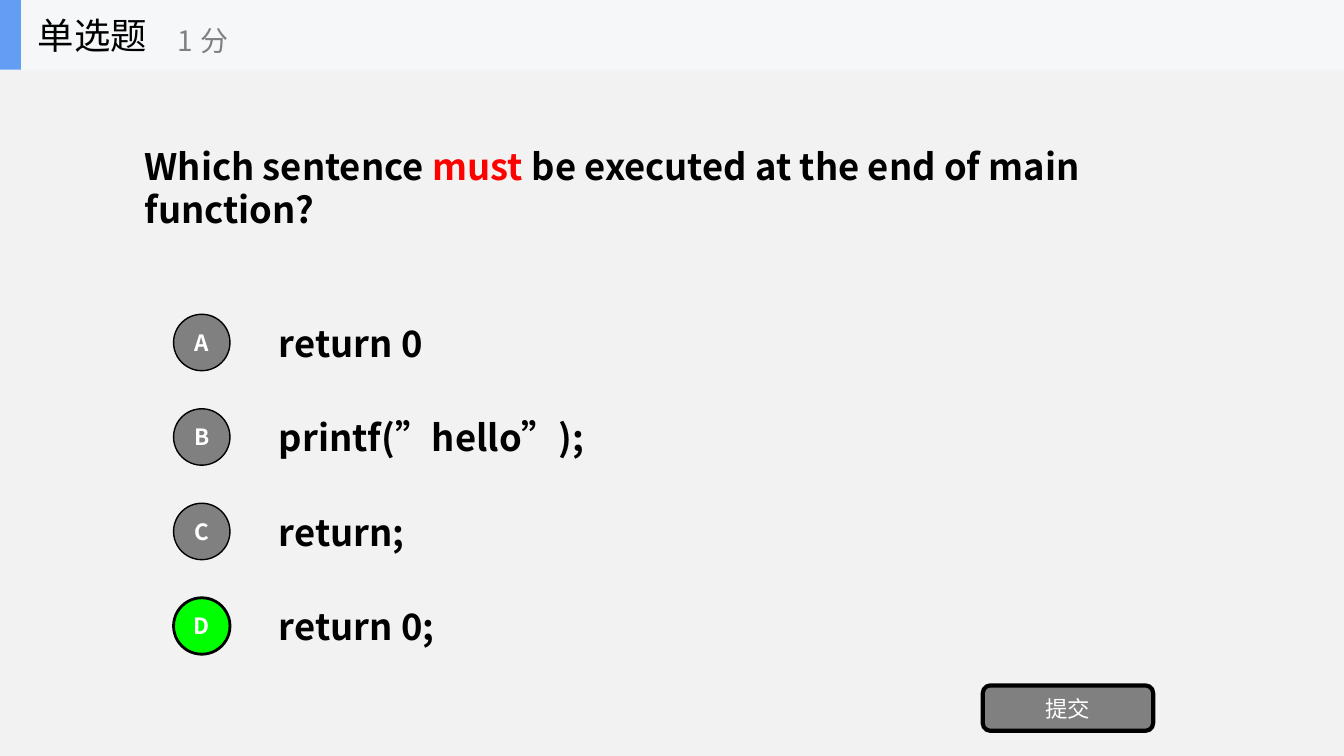
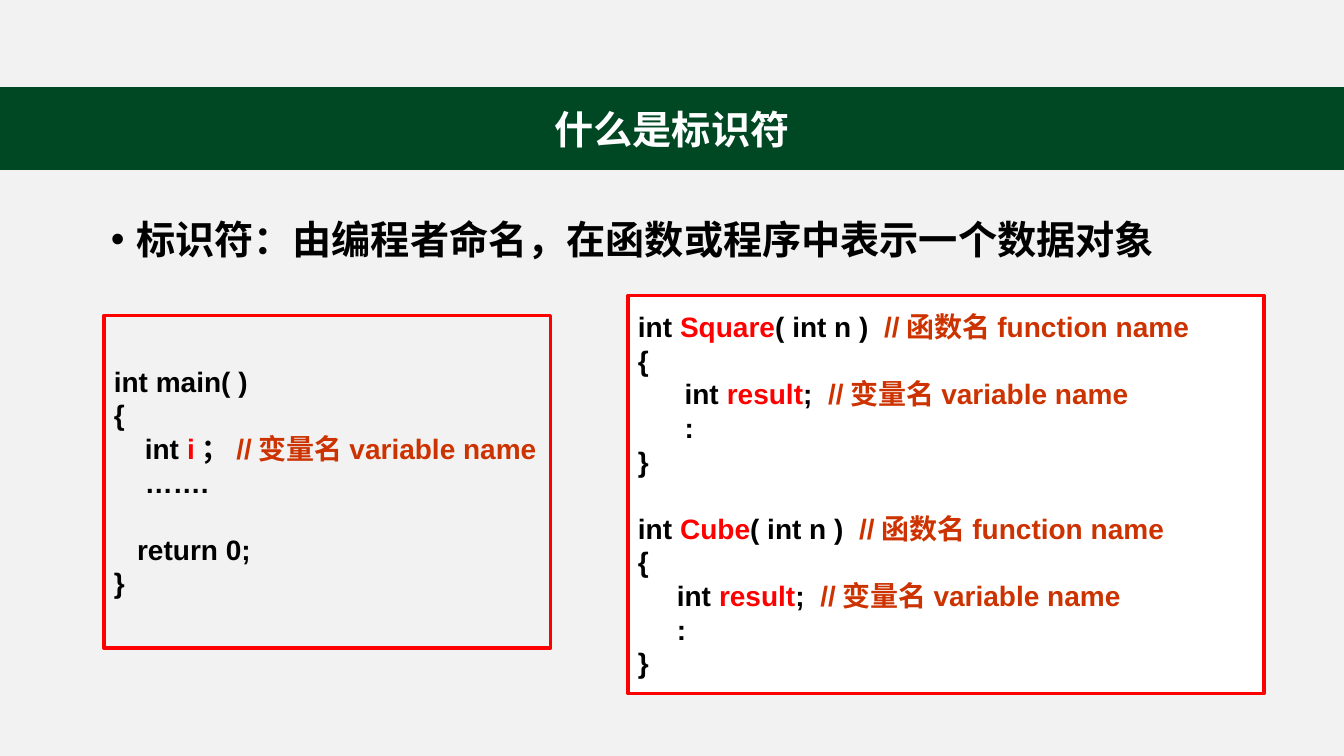
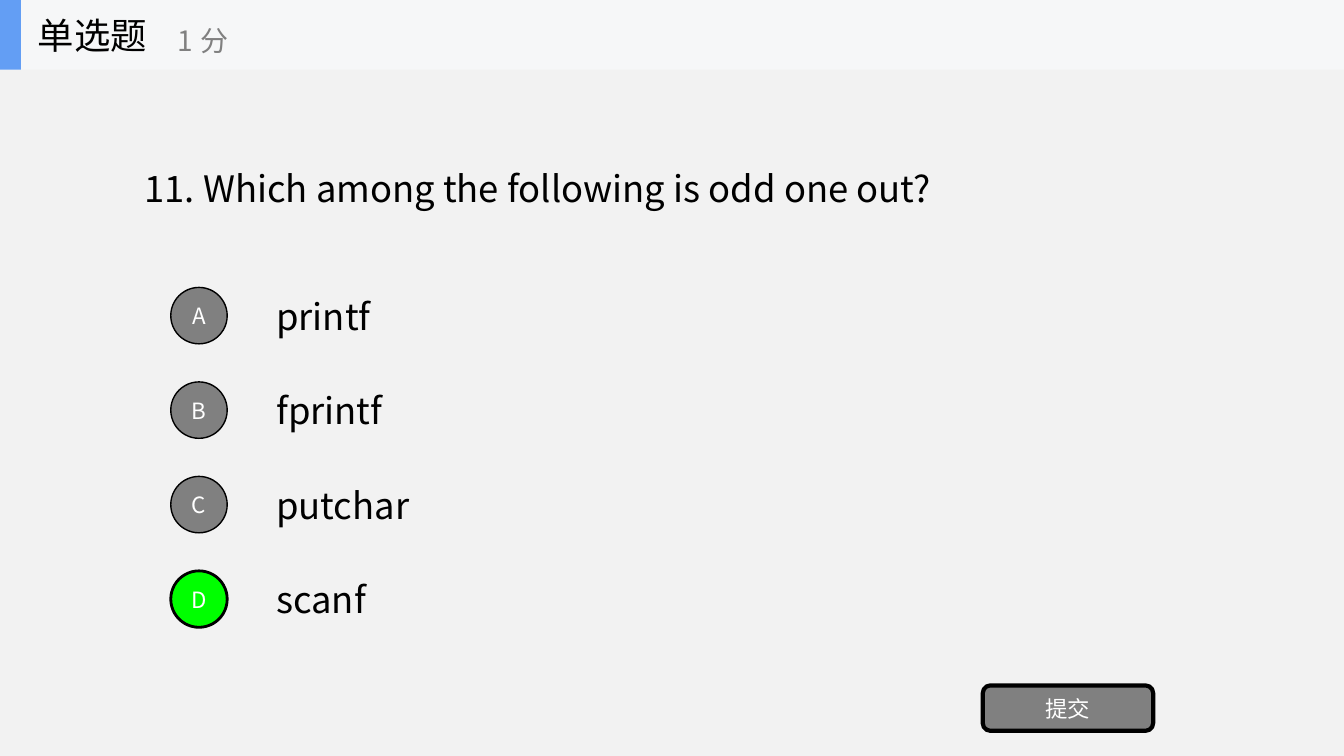
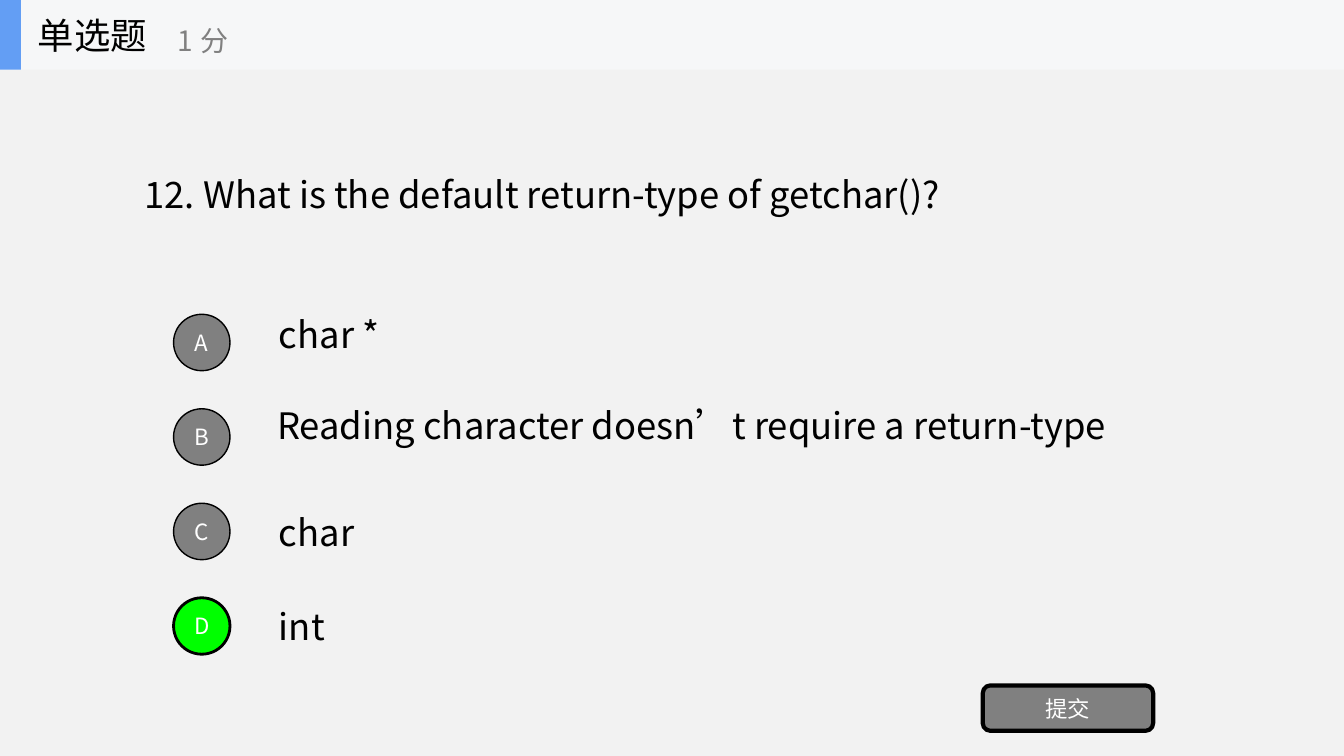
from dataclasses import dataclass

from lxml import etree
from pptx import Presentation
from pptx.dml.color import RGBColor
from pptx.enum import shapes as kinds, text as modes
from pptx.oxml.ns import qn
from pptx.util import Pt


@dataclass(frozen=True)
class Theme:
    background: str = "F2F2F2"
    header: str = "F6F7F8"
    accent: str = "639EF4"
    band: str = "004723"
    grey: str = "808080"
    correct: str = "00FF00"
    black: str = "000000"
    white: str = "FFFFFF"
    red: str = "FF0000"
    comment: str = "CC3300"
    sans: str = "Noto Sans CJK SC"
    code_font: str = "Arial"
    serif: str = "Times New Roman"
    heading: float = 28
    question: float = 26
    points: float = 20
    code: float = 20
    label: float = 16


THEME = Theme()


@dataclass(frozen=True)
class Box:
    left: float
    top: float
    width: float
    height: float

    def lengths(self):
        return Pt(self.left), Pt(self.top), Pt(self.width), Pt(self.height)


@dataclass(frozen=True)
class Style:
    size: float
    color: str = THEME.black
    bold: bool = False
    font: str = THEME.sans
    align: modes.PP_ALIGN = modes.PP_ALIGN.LEFT


@dataclass(frozen=True)
class Piece:
    text: str
    color: str = THEME.black


@dataclass(frozen=True)
class CodeLine:
    pieces: tuple[Piece, ...]
    gap_before: bool = False


@dataclass(frozen=True)
class Option:
    text: str
    width: float = 672
    height: float = 50.4
    shift_x: float = 0
    shift_y: float = 0
    correct: bool = False


@dataclass(frozen=True)
class Question:
    pieces: tuple[Piece, ...]
    box: Box
    options: tuple[Option, ...]
    badge_left: float = 124
    badge_top: float = 224.5
    bold: bool = False


SLIDE = Box(0, 0, 960, 540)
HEADER = Box(0, 0, 960, 49.7)
BADGE_SIZE = 40.3
OPTION_PITCH = 67.5
OPTION_INDENT = 68.2
LINE_FACTOR = 1.2


def rgb(value: str) -> RGBColor:
    return RGBColor.from_string(value)


def format_run(run, style: Style, color: str) -> None:
    font = run.font
    font.size = Pt(style.size)
    font.bold = style.bold
    font.color.rgb = rgb(color)
    font.name = style.font
    east_asian = etree.SubElement(font._element, qn("a:ea"))
    east_asian.set("typeface", THEME.sans)


def write_text(paragraph, text: str, style: Style) -> None:
    paragraph.text = text
    paragraph.alignment = style.align
    for run in paragraph.runs:
        format_run(run, style, style.color)


def write_pieces(paragraph, pieces: tuple[Piece, ...], style: Style) -> None:
    paragraph.alignment = style.align
    paragraph.line_spacing = Pt(round(style.size * LINE_FACTOR))
    for piece in pieces:
        run = paragraph.add_run()
        run.text = piece.text
        format_run(run, style, piece.color)


def set_frame(frame, anchor=modes.MSO_ANCHOR.MIDDLE) -> None:
    frame.word_wrap = True
    frame.auto_size = modes.MSO_AUTO_SIZE.NONE
    frame.vertical_anchor = anchor


def place(shape, box: Box) -> None:
    shape.left, shape.top, shape.width, shape.height = box.lengths()


def add_label(container, box: Box, text: str, style: Style) -> None:
    shape = container.add_textbox(*box.lengths())
    set_frame(shape.text_frame)
    write_text(shape.text_frame.paragraphs[0], text, style)


def add_block(container, kind, box: Box, fill: str | None,
              line: str | None = None, line_width: float = 1):
    shape = container.add_shape(kind, *box.lengths())
    shape.shadow.inherit = False
    if fill:
        shape.fill.solid()
        shape.fill.fore_color.rgb = rgb(fill)
    else:
        shape.fill.background()
    if line:
        shape.line.color.rgb = rgb(line)
        shape.line.width = Pt(line_width)
    else:
        shape.line.fill.background()
    set_frame(shape.text_frame)
    return shape


def add_button(container, kind, box: Box, fill: str, line_width: float,
               text: str, bold: bool = False) -> None:
    shape = add_block(container, kind, box, fill, THEME.black, line_width)
    frame = shape.text_frame
    frame.margin_left = frame.margin_right = 0
    style = Style(THEME.label, THEME.white, bold, align=modes.PP_ALIGN.CENTER)
    write_text(frame.paragraphs[0], text, style)


def add_header(slide) -> None:
    container = slide.shapes.add_group_shape().shapes
    rectangle = kinds.MSO_SHAPE.RECTANGLE
    add_block(container, rectangle, HEADER, THEME.header)
    add_block(container, rectangle, Box(0, 0, 15, HEADER.height), THEME.accent)
    add_label(container, Box(20, 0, 150, HEADER.height), "单选题",
              Style(THEME.question))
    add_label(container, Box(120, 9, 180, 40), "1分",
              Style(THEME.points, THEME.grey))


def add_option(slide, question: Question, index: int, option: Option) -> None:
    top = question.badge_top + index * OPTION_PITCH
    middle = top + BADGE_SIZE / 2
    add_label(
        slide.shapes,
        Box(question.badge_left + OPTION_INDENT + option.shift_x,
            middle - option.height / 2 + option.shift_y,
            option.width, option.height),
        option.text, Style(THEME.question, bold=question.bold))
    add_button(
        slide.shapes, kinds.MSO_SHAPE.OVAL,
        Box(question.badge_left, top, BADGE_SIZE, BADGE_SIZE),
        THEME.correct if option.correct else THEME.grey,
        2 if option.correct else 1, "ABCD"[index], question.bold)


def add_question_slide(presentation, question: Question) -> None:
    slide = presentation.slides.add_slide(presentation.slide_layouts[5])
    title = slide.shapes.title
    place(title, question.box)
    set_frame(title.text_frame)
    write_pieces(title.text_frame.paragraphs[0], question.pieces,
                 Style(THEME.question, bold=question.bold))
    for index, option in enumerate(question.options):
        add_option(slide, question, index, option)
    add_button(slide.shapes, kinds.MSO_SHAPE.ROUNDED_RECTANGLE,
               Box(702, 489.6, 121.7, 32.4), THEME.grey, 3, "提交")
    add_header(slide)


def add_code(slide, box: Box, fill: str | None,
             lines: tuple[CodeLine, ...]) -> None:
    shape = add_block(slide.shapes, kinds.MSO_SHAPE.RECTANGLE, box, fill,
                      THEME.red, 2.5)
    frame = shape.text_frame
    frame.margin_right = 0
    style = Style(THEME.code, bold=True, font=THEME.code_font)
    for index, line in enumerate(lines):
        paragraph = frame.add_paragraph() if index else frame.paragraphs[0]
        write_pieces(paragraph, line.pieces, style)
        if line.gap_before:
            paragraph.space_before = Pt(THEME.code * LINE_FACTOR)


def plain(text: str, gap_before: bool = False) -> CodeLine:
    return CodeLine((Piece(text),), gap_before)


def named(before: str, name: str, after: str, comment: str,
          gap_before: bool = False) -> CodeLine:
    return CodeLine((Piece(before), Piece(name, THEME.red), Piece(after),
                     Piece(comment, THEME.comment)), gap_before)


def function_lines(name: str, indent: str,
                   gap_before: bool = False) -> tuple[CodeLine, ...]:
    return (
        named("int ", name, "( int n )  ", "//函数名function name", gap_before),
        plain("{"),
        named(indent + "int ", "result", ";  ", "//变量名variable name"),
        plain(indent + ":"),
        plain("}"),
    )


MAIN_LINES = (
    plain("int main( )"),
    plain("{"),
    named("    int ", "i", "；", "//变量名variable name"),
    plain("    ……."),
    plain("   return 0;", gap_before=True),
    plain("}"),
)


def add_identifier_slide(presentation) -> None:
    slide = presentation.slides.add_slide(presentation.slide_layouts[1])
    title, body = slide.placeholders

    place(title, Box(0, 62.6, SLIDE.width, 58.3))
    title.fill.solid()
    title.fill.fore_color.rgb = rgb(THEME.band)
    title.line.color.rgb = rgb(THEME.band)
    title.line.width = Pt(1)
    set_frame(title.text_frame)
    write_text(title.text_frame.paragraphs[0], "什么是标识符",
               Style(THEME.heading, THEME.white, True,
                     align=modes.PP_ALIGN.CENTER))

    place(body, Box(72, 143.3, 810, 90))
    set_frame(body.text_frame, modes.MSO_ANCHOR.TOP)
    paragraph = body.text_frame.paragraphs[0]
    properties = paragraph._p.get_or_add_pPr()
    properties.set("marL", str(Pt(18)))
    properties.set("indent", str(-Pt(18)))
    write_text(paragraph, "标识符：由编程者命名，在函数或程序中表示一个数据对象",
               Style(THEME.heading, bold=True, font=THEME.serif))
    paragraph.space_before = Pt(0)
    paragraph.line_spacing = 1.2

    add_code(slide, Box(74.2, 225.4, 319, 237.6), None, MAIN_LINES)
    add_code(slide, Box(448.6, 211, 454.3, 284.4), THEME.white,
             function_lines("Square", " " * 6)
             + function_lines("Cube", " " * 5, gap_before=True))


RETURN_QUESTION = Question(
    pieces=(Piece("Which sentence "), Piece("must", THEME.red),
            Piece(" be executed at the end of main function?")),
    box=Box(96, 49.7, 768, 168.5),
    options=(Option("return 0"), Option("printf(”hello”);"),
             Option("return;"), Option("return 0;", correct=True)),
    bold=True,
)

ODD_ONE_QUESTION = Question(
    pieces=(Piece("11. Which among the following is odd one out?"),),
    box=Box(96, 115.2, 597.6, 38.2),
    options=(Option("printf", 90, 38.2), Option("fprintf", 99.4, 38.2),
             Option("putchar", 117.4, 38.2),
             Option("scanf", 86.4, 38.2, correct=True)),
    badge_left=122,
    badge_top=205.3,
)

GETCHAR_QUESTION = Question(
    pieces=(Piece("12. What is the default return-type of getchar()?"),),
    box=Box(96, 119.5, 608.4, 38.9),
    options=(
        Option("char *", 95, 38.2, shift_y=-6),
        Option("Reading character doesn’t require a return-type",
               633, 38.2, shift_x=-1.4, shift_y=-8.6),
        Option("char"),
        Option("int", correct=True),
    ),
)


def main() -> None:
    presentation = Presentation()
    presentation.slide_width = Pt(SLIDE.width)
    presentation.slide_height = Pt(SLIDE.height)
    background = presentation.slide_master.background.fill
    background.solid()
    background.fore_color.rgb = rgb(THEME.background)

    add_question_slide(presentation, RETURN_QUESTION)
    add_identifier_slide(presentation)
    add_question_slide(presentation, ODD_ONE_QUESTION)
    add_question_slide(presentation, GETCHAR_QUESTION)
    presentation.save("out.pptx")


if __name__ == "__main__":
    main()
